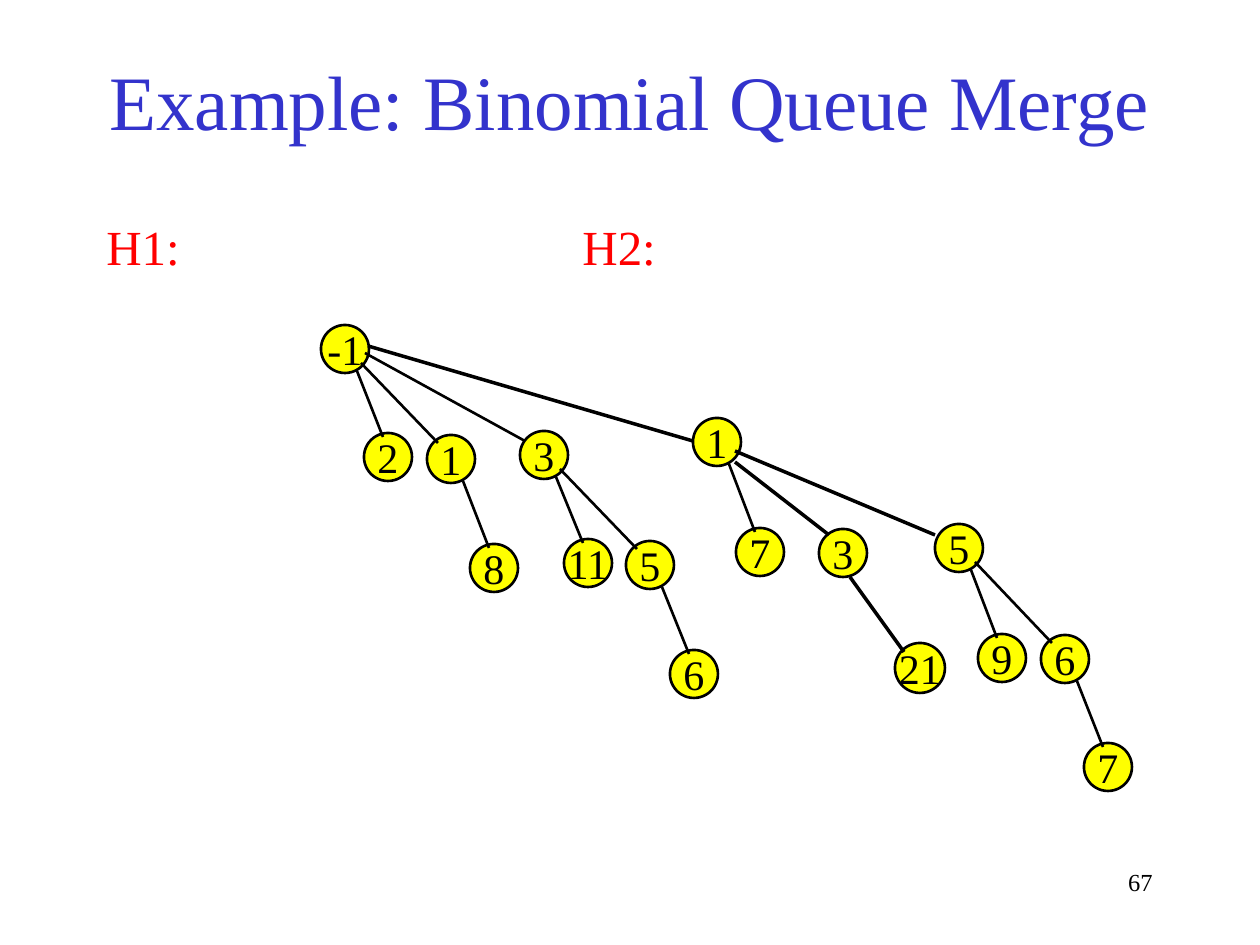
from lxml.etree import SubElement
from pptx import Presentation
from pptx.dml.color import RGBColor
from pptx.enum.shapes import MSO_CONNECTOR, MSO_SHAPE
from pptx.enum.text import MSO_ANCHOR, PP_ALIGN
from pptx.oxml.ns import qn
from pptx.util import Pt

PX = 914400 / 126
THEME = {
    "font": "Times New Roman",
    "title": RGBColor(0x33, 0x33, 0xCC),
    "heap": RGBColor(0xFF, 0x00, 0x00),
    "ink": RGBColor(0x00, 0x00, 0x00),
    "node": RGBColor(0xFF, 0xFF, 0x00),
    "title_size": Pt(44),
    "heap_size": Pt(28),
    "key_size": Pt(24),
    "number_size": Pt(14),
    "thin": Pt(1.5),
    "thick": Pt(2),
}


def emu(*lengths):
    return [round(length * PX) for length in lengths]


def write(shape, text, size, color, align, anchor=MSO_ANCHOR.TOP, wrap=True):
    frame = shape.text_frame
    frame.word_wrap = wrap
    frame.vertical_anchor = anchor
    paragraph = frame.paragraphs[0]
    paragraph.alignment = align
    run = paragraph.add_run()
    run.text = text
    run.font.name = THEME["font"]
    run.font.size = THEME[size]
    run.font.color.rgb = THEME[color]
    return paragraph


prs = Presentation()
prs.slide_width, prs.slide_height = emu(1260, 945)
slide = prs.slides.add_slide(prs.slide_layouts[6])
shapes = slide.shapes

title = shapes.add_textbox(*emu(94, 21, 1072, 158))
write(title, "Example: Binomial Queue Merge", "title_size", "title",
      PP_ALIGN.CENTER, MSO_ANCHOR.MIDDLE)

heaps = shapes.add_textbox(*emu(94, 210, 575, 72))
heap_line = write(heaps, "H1:\tH2:", "heap_size", "heap", PP_ALIGN.LEFT)
tabs = SubElement(heap_line._p.get_or_add_pPr(), qn("a:tabLst"))
SubElement(tabs, qn("a:tab"), pos=str(emu(476)[0]), algn="l")

page_number = shapes.add_textbox(*emu(903, 861, 262, 63))
write(page_number, "67", "number_size", "ink", PP_ALIGN.RIGHT)

nodes = {
    "root": ("-1", 321, 325, 48),
    "root.2": ("2", 364, 433, 48),
    "root.1": ("1", 427, 435, 48),
    "root.1.8": ("8", 470, 544, 48),
    "root.3": ("3", 520, 431, 48),
    "root.3.11": ("11", 564, 539, 48),
    "root.3.5": ("5", 626, 541, 48),
    "root.3.5.6": ("6", 670, 650, 48),
    "big": ("1", 693, 418, 48),
    "big.7": ("7", 736, 528, 48),
    "big.3": ("3", 819, 529, 48),
    "big.3.21": ("21", 895, 643, 50),
    "big.5": ("5", 935, 524, 48),
    "big.5.9": ("9", 978, 634, 48),
    "big.5.6": ("6", 1041, 635, 48),
    "big.5.6.7": ("7", 1084, 743, 48),
}
for key, left, top, size in nodes.values():
    node = shapes.add_shape(MSO_SHAPE.OVAL, *emu(left, top, size, size))
    node.shadow.inherit = False
    node.fill.solid()
    node.fill.fore_color.rgb = THEME["node"]
    node.line.color.rgb = THEME["ink"]
    node.line.width = THEME["thin"]
    write(node, key, "key_size", "ink", PP_ALIGN.CENTER, MSO_ANCHOR.MIDDLE, False)

FIRST = (36, 46), (19, 4), "thin"
SECOND = (40, 38), (11, 8), "thin"
edges = [
    ("root", "root.2", FIRST),
    ("root", "root.1", SECOND),
    ("root", "root.3", ((44, 28), (5, 10), "thin")),
    ("root", "big", ((47, 21), (0, 23), "thick")),
    ("root.1", "root.1.8", FIRST),
    ("root.3", "root.3.11", FIRST),
    ("root.3", "root.3.5", SECOND),
    ("root.3.5", "root.3.5.6", FIRST),
    ("big", "big.7", FIRST),
    ("big", "big.3", ((42, 44), (10, 6), "thick")),
    ("big", "big.5", ((42, 33), (0, 11), "thick")),
    ("big.3", "big.3.21", ((31, 48), (9, 9), "thick")),
    ("big.5", "big.5.9", FIRST),
    ("big.5", "big.5.6", SECOND),
    ("big.5.6", "big.5.6.7", FIRST),
]
for parent, child, (start, end, weight) in edges:
    _, parent_x, parent_y, _ = nodes[parent]
    _, child_x, child_y, _ = nodes[child]
    edge = shapes.add_connector(MSO_CONNECTOR.STRAIGHT, *emu(
        parent_x + start[0], parent_y + start[1],
        child_x + end[0], child_y + end[1]))
    edge.line.color.rgb = THEME["ink"]
    edge.line.width = THEME[weight]
    SubElement(edge._element.spPr, qn("a:effectLst"))

prs.save("out.pptx")
